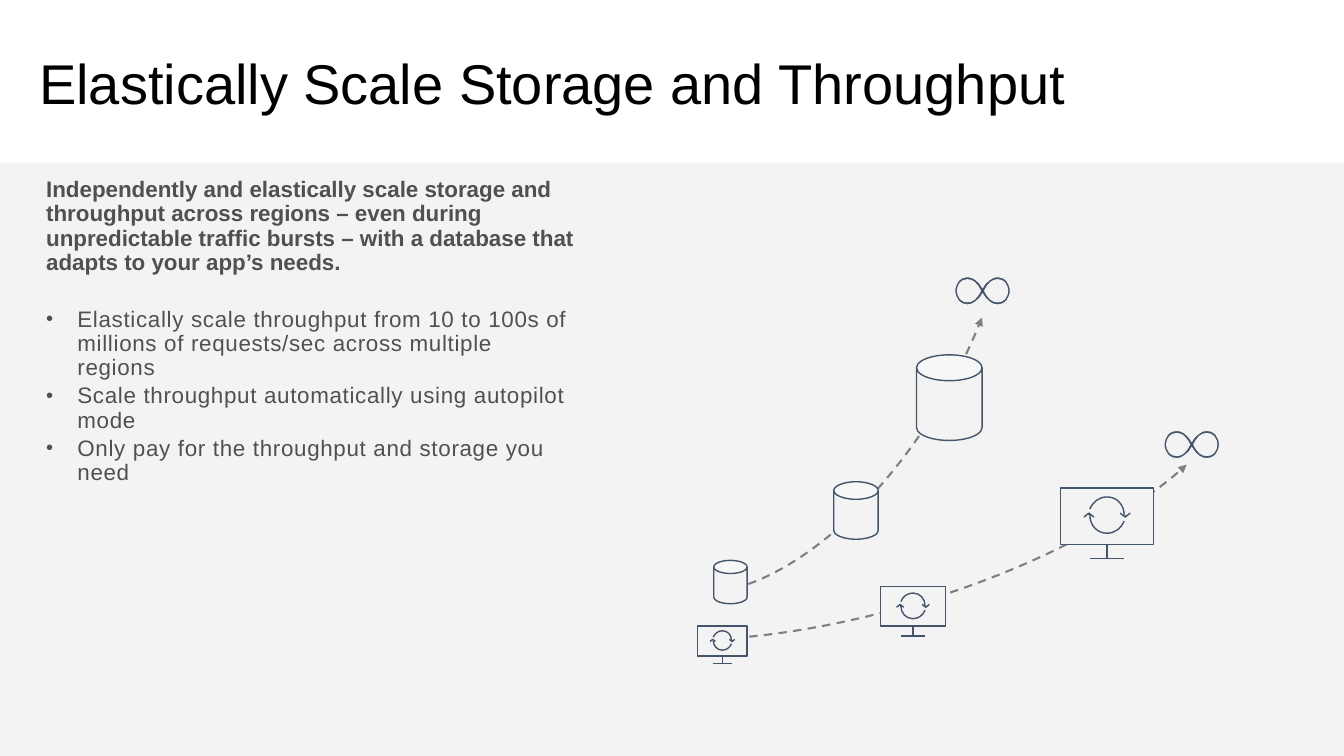
"""Builds the slide on elastically scaling storage and throughput."""
from lxml import etree
from pptx import Presentation
from pptx import util as u
from pptx.dml.color import RGBColor
from pptx.enum import dml, shapes, text
from pptx.oxml.ns import qn

COLORS = {"band": "F2F2F2", "face": "F3F3F3", "icon": "44546A",
          "trend": "808080", "title": "000000", "body": "505050"}
rgb = {name: RGBColor.from_string(value) for name, value in COLORS.items()}

prs = Presentation()
prs.slide_width, prs.slide_height = u.Inches(13.33), u.Inches(7.5)
s = prs.slides.add_slide(prs.slide_layouts[6])


def add_freeform(paths, origin=(0, 0), scale=1, color="icon", width=1, fill=None):
    """Freeform of (start, segments) paths; one point is a line, three a curve."""
    def place(point):
        return tuple(u.Inches(o + scale * v) for o, v in zip(origin, point))

    builder = s.shapes.build_freeform(*place(paths[0][0]))
    for i, (start, segments) in enumerate(paths):
        if i:
            builder.move_to(*place(start))
        builder.add_line_segments([place(seg[-1]) for seg in segments], close=bool(fill))
    sp = builder.convert_to_shape()
    segments = [seg for _, path_segments in paths for seg in path_segments]
    for node, seg in zip(list(sp._element.iter(qn("a:lnTo"))), segments):
        if len(seg) == 3:
            curve = etree.Element(qn("a:cubicBezTo"))
            for x, y in map(place, seg):
                pt = etree.SubElement(curve, qn("a:pt"))
                pt.set("x", str(x - sp.left))
                pt.set("y", str(y - sp.top))
            node.getparent().replace(node, curve)
    sp.shadow.inherit = False
    if fill:
        sp.fill.solid()
        sp.fill.fore_color.rgb = rgb[fill]
    else:
        sp.fill.background()
    sp.line.color.rgb = rgb[color]
    sp.line.width = u.Pt(width)
    return sp


def add_line(x1, y1, x2, y2):
    """Thin straight icon line."""
    line = s.shapes.add_connector(shapes.MSO_CONNECTOR.STRAIGHT,
                                  *map(u.Inches, (x1, y1, x2, y2)))
    line.line.color.rgb = rgb["icon"]
    line.line.width = u.Pt(1)
    etree.SubElement(line._element.spPr, qn("a:effectLst"))
    return line


band = s.shapes.add_shape(shapes.MSO_SHAPE.RECTANGLE, 0, u.Inches(1.61),
                          prs.slide_width, u.Inches(5.89))
band.shadow.inherit = False
band.fill.solid()
band.fill.fore_color.rgb = rgb["band"]
band.line.fill.background()
clr = band._element.spPr.find(qn("a:solidFill"))[0]
etree.SubElement(clr, qn("a:alpha")).set("val", "89000")

title = s.shapes.add_textbox(u.Inches(0.29), u.Inches(0.37), u.Inches(12.75), u.Inches(0.98))
tf = title.text_frame
tf.word_wrap = True
tf.vertical_anchor = text.MSO_ANCHOR.MIDDLE
tf.text = "Elastically Scale Storage and Throughput"
p = tf.paragraphs[0]
p.line_spacing = 0.9
r = p.runs[0]
r.font.name, r.font.size, r.font.color.rgb = "Arial", u.Pt(40), rgb["title"]

storage = ((7.14, 5.87), ((8.02, 5.72), (9.15, 4.64), (9.74, 3.15)),
           [(9.09, 3.52, 0.65, 0.85), (8.27, 4.78, 0.44, 0.57), (7.08, 5.56, 0.33, 0.43)],
           shapes.MSO_SHAPE.CAN)
throughput = ((7.14, 6.34), ((8.7, 6.25), (10.73, 5.56), (11.77, 4.61)),
              [(6.92, 6.21, 0.49, 0.3), (8.73, 5.82, 0.65, 0.39), (10.52, 4.84, 0.92, 0.56)],
              shapes.MSO_SHAPE.RECTANGLE)
refresh_arc = ((0.17, 0.06), [((0.14, 0.13), (0.08, 0.18), (0, 0.18)),
                              ((-0.1, 0.18), (-0.17, 0.1), (-0.17, 0))])
arrowhead = ((0.13, -0.02), [((0.18, 0.02),), ((0.23, -0.02),)])

for start, curve, icons, kind in (storage, throughput):
    trend = add_freeform([(start, [curve])], color="trend", width=1.5)
    trend.line.dash_style = dml.MSO_LINE.DASH
    etree.SubElement(trend._element.spPr.find(qn("a:ln")), qn("a:tailEnd")).set("type", "triangle")

    for x, y, w, h in icons:
        sp = s.shapes.add_shape(kind, *map(u.Inches, (x, y, w, h)))
        sp.shadow.inherit = False
        sp.fill.solid()
        sp.fill.fore_color.rgb = rgb["face"]
        sp.line.color.rgb = rgb["icon"]
        sp.line.width = u.Pt(1)
        if kind == shapes.MSO_SHAPE.CAN:
            sp.adjustments[0] = 0.395
            continue

        k = w / 0.92
        cx, cy = x + w / 2, y + 0.27 * k
        foot = y + h + 0.14 * k
        add_line(cx, y + h, cx, foot).begin_connect(sp, 2)
        add_line(cx - 0.17 * k, foot, cx + 0.17 * k, foot)
        add_line(cx + 0.03 * k, cy, cx + 0.03 * k, cy)
        for side in (1, -1):
            add_freeform([refresh_arc], (cx, cy), side * k)
            tip = cx + side * 0.18 * k
            add_line(tip, cy, tip, cy + side * 0.02 * k)
            add_freeform([arrowhead], (cx, cy), side * k)

half_rim = [((-0.09, -0.14), (-0.04, -0.1), (0, -0.03)),
            ((0.02, -0.07), (0.04, -0.09), (0.07, -0.11)),
            ((0.09, -0.13), (0.12, -0.14), (0.15, -0.14)),
            ((0.18, -0.14), (0.21, -0.13), (0.24, -0.1)),
            ((0.26, -0.07), (0.275, -0.04), (0.275, 0)),
            ((0.275, 0.04), (0.26, 0.07), (0.24, 0.1)),
            ((0.21, 0.13), (0.18, 0.14), (0.15, 0.14))]
hole = [((0.18, -0.11), (0.2, -0.1), (0.22, -0.08)),
        ((0.24, -0.05), (0.25, -0.03), (0.25, 0)),
        ((0.25, 0.03), (0.24, 0.05), (0.22, 0.08)),
        ((0.2, 0.1), (0.18, 0.11), (0.15, 0.11)),
        ((0.1, 0.11), (0.06, 0.08), (0.02, 0)),
        ((0.06, -0.08), (0.1, -0.11), (0.15, -0.11))]
rim = half_rim + [tuple((-x, -y) for x, y in seg) for seg in half_rim]
infinity = [((-0.15, -0.14), rim)]
for side in (-1, 1):
    infinity.append(((side * 0.15, -0.11), [tuple((side * x, y) for x, y in seg) for seg in hole]))
for center in ((9.745, 2.885), (11.82, 4.41)):
    add_freeform(infinity, center, color="face", width=0.75, fill="icon")

body = s.shapes.add_textbox(u.Inches(0.36), u.Inches(1.72), u.Inches(5.47), u.Inches(3.52))
tf = body.text_frame
tf.word_wrap = True
tf.text = "\n".join([
    "Independently and elastically scale storage and throughput across regions – even during "
    "unpredictable traffic bursts – with a database that adapts to your app’s needs.",
    "Elastically scale throughput from 10 to 100s of millions of requests/sec across multiple regions",
    "Scale throughput automatically using autopilot mode",
    "Only pay for the throughput and storage you need"])
for i, p in enumerate(tf.paragraphs):
    p.line_spacing = 0.9
    p.space_before = u.Pt(23.5 if i == 1 else 3)
    r = p.runs[0]
    r.font.name, r.font.size, r.font.color.rgb = "Arial", u.Pt(16), rgb["body"]
    r.font.bold = i == 0
    if i:
        r.font._element.set("spc", "50")
        pPr = p._p.get_or_add_pPr()
        pPr.set("marL", str(u.Inches(0.31)))
        pPr.set("indent", str(u.Inches(-0.31)))
        etree.SubElement(pPr, qn("a:buSzPct")).set("val", "90000")
        etree.SubElement(pPr, qn("a:buFont")).set("typeface", "Arial")
        etree.SubElement(pPr, qn("a:buChar")).set("char", "•")

prs.save("out.pptx")
